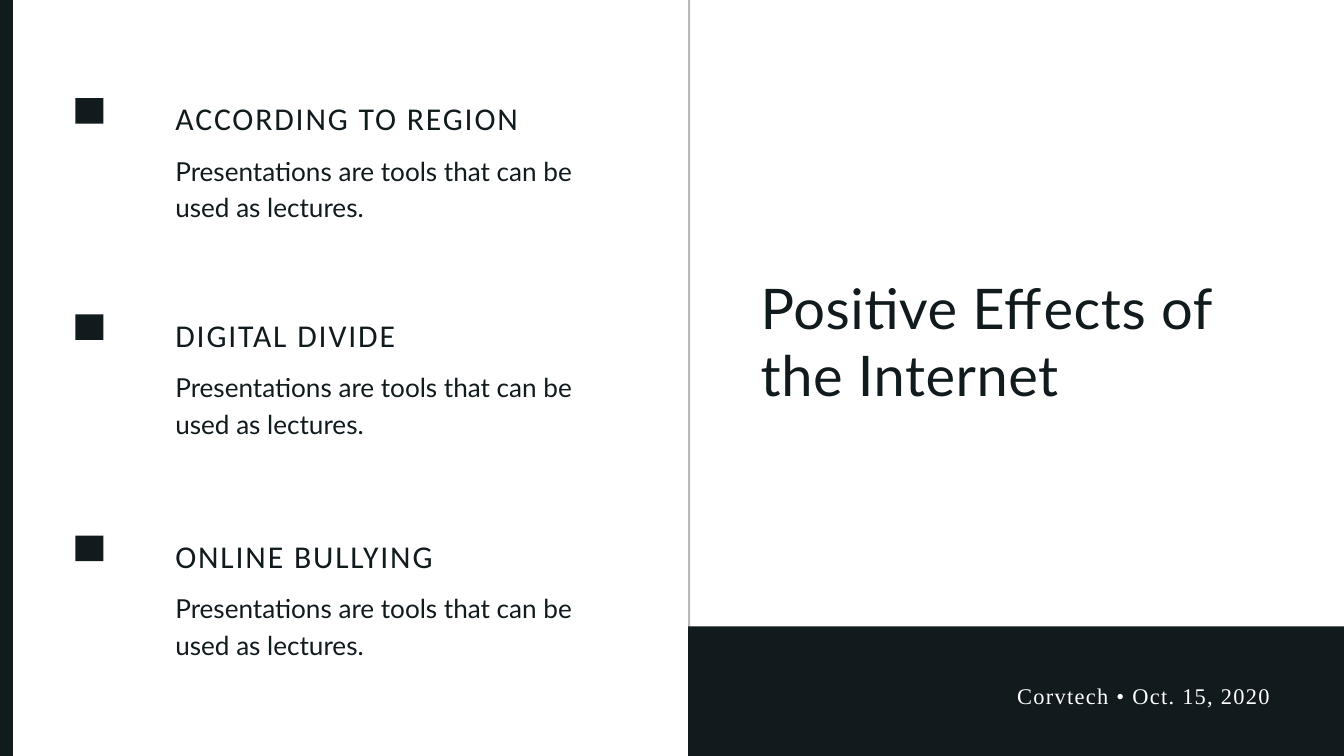
from dataclasses import dataclass

from lxml import etree
from pptx import Presentation
from pptx.dml.color import RGBColor
from pptx.enum.shapes import MSO_SHAPE
from pptx.enum.text import MSO_AUTO_SIZE, PP_ALIGN
from pptx.oxml.ns import qn
from pptx.util import Inches, Pt

RECT = MSO_SHAPE.RECTANGLE
FIT = MSO_AUTO_SIZE.SHAPE_TO_FIT_TEXT
LEFT, RIGHT = PP_ALIGN.LEFT, PP_ALIGN.RIGHT


@dataclass(frozen=True)
class Style:
    font: str
    size: float
    leading: float
    color: str
    spacing: float = 0


class Theme:
    ink = "111B1E"
    paper = "FFFFFF"
    title = Style("Lato", 60, 72, ink, 0.6)
    heading = Style("Calibri", 34, 44.2, ink, 2)
    body = Style("Lato", 28, 39.2, ink)
    footer = Style("Times New Roman", 24, 33.6, paper, 1.4)


W, H = 20, 11.25
SPLIT = 10.24
TOPICS = [
    (1.43, "ACCORDING TO REGION"),
    (4.65, "DIGITAL DIVIDE"),
    (7.94, "ONLINE BULLYING"),
]
BODY = "Presentations are tools that can be used as lectures."


def add_block(shapes, x, y, w, h, alpha=None):
    sp = shapes.add_shape(RECT, Inches(x), Inches(y), Inches(w), Inches(h))
    sp.shadow.inherit = False
    sp.fill.solid()
    sp.fill.fore_color.rgb = RGBColor.from_string(Theme.ink)
    sp.line.fill.background()
    if alpha is not None:
        color = sp.fill._xPr.find(qn("a:solidFill")).find(qn("a:srgbClr"))
        etree.SubElement(color, qn("a:alpha")).set("val", str(alpha * 1000))


def add_text(shapes, x, y, w, h, text, style, align=LEFT):
    sp = shapes.add_textbox(Inches(x), Inches(y), Inches(w), Inches(h))
    tf = sp.text_frame
    tf.margin_left = tf.margin_top = tf.margin_right = tf.margin_bottom = 0
    tf.word_wrap = True
    tf.auto_size = FIT
    p = tf.paragraphs[0]
    p.alignment = align
    p.line_spacing = Pt(style.leading)
    r = p.add_run()
    r.text = text
    r.font.name = style.font
    r.font.size = Pt(style.size)
    r.font.color.rgb = RGBColor.from_string(style.color)
    if style.spacing:
        r._r.get_or_add_rPr().set("spc", str(round(style.spacing * 100)))


def add_topic(s, x, y, w, heading):
    add_block(s.shapes, x, y + 0.03, 0.42, 0.38)
    text_x = x + 1.49
    text_w = w - 1.49
    group = s.shapes.add_group_shape()
    add_text(group.shapes, text_x, y, text_w, 0.59, heading, Theme.heading)
    add_text(group.shapes, text_x, y + 0.8, text_w, 1.04, BODY, Theme.body)


def add_title_panel(s, x, y, w, h):
    add_block(s.shapes, x, y, 0.03, h, alpha=30)
    add_text(s.shapes, x + 1.08, y + 4.07, w - 2.21, 1.97,
             "Positive Effects of the Internet", Theme.title)


def add_footer(s, x, y, w, h):
    group = s.shapes.add_group_shape()
    add_block(group.shapes, x, y, w, h)
    add_text(group.shapes, x + 1.27, y + 0.77, w - 2.37, 0.44,
             "Corvtech • Oct. 15, 2020", Theme.footer, RIGHT)


def main():
    prs = Presentation()
    prs.slide_width, prs.slide_height = Inches(W), Inches(H)
    s = prs.slides.add_slide(prs.slide_layouts[6])
    s.background.fill.solid()
    s.background.fill.fore_color.rgb = RGBColor.from_string(Theme.paper)
    for y, heading in TOPICS:
        add_topic(s, 1.12, y, 7.63, heading)
    add_title_panel(s, SPLIT, 0, W - SPLIT, H)
    add_footer(s, SPLIT, 9.32, W - SPLIT, H - 9.32)
    add_block(s.shapes, 0, 0, 0.19, H)
    prs.save("out.pptx")


if __name__ == "__main__":
    main()
